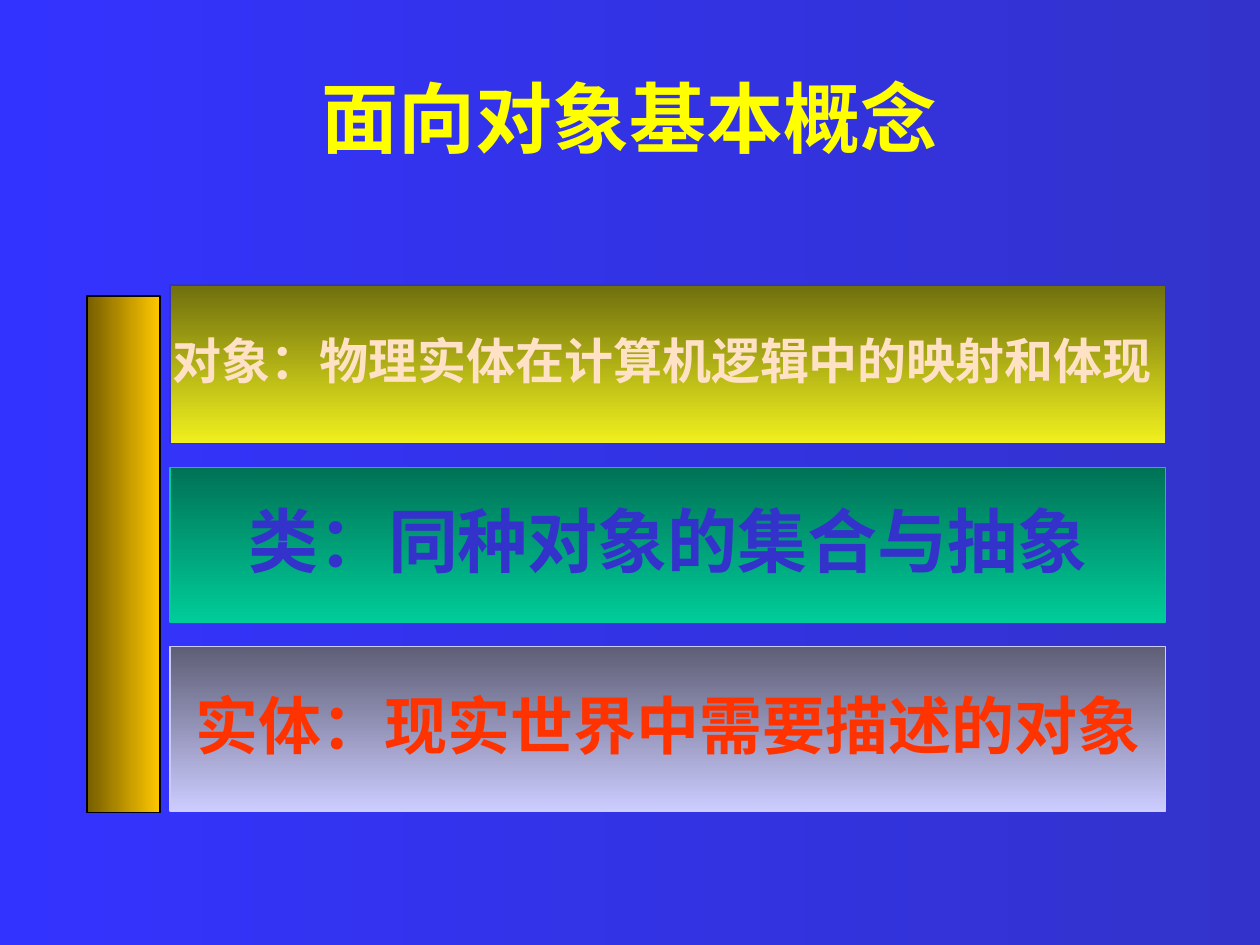
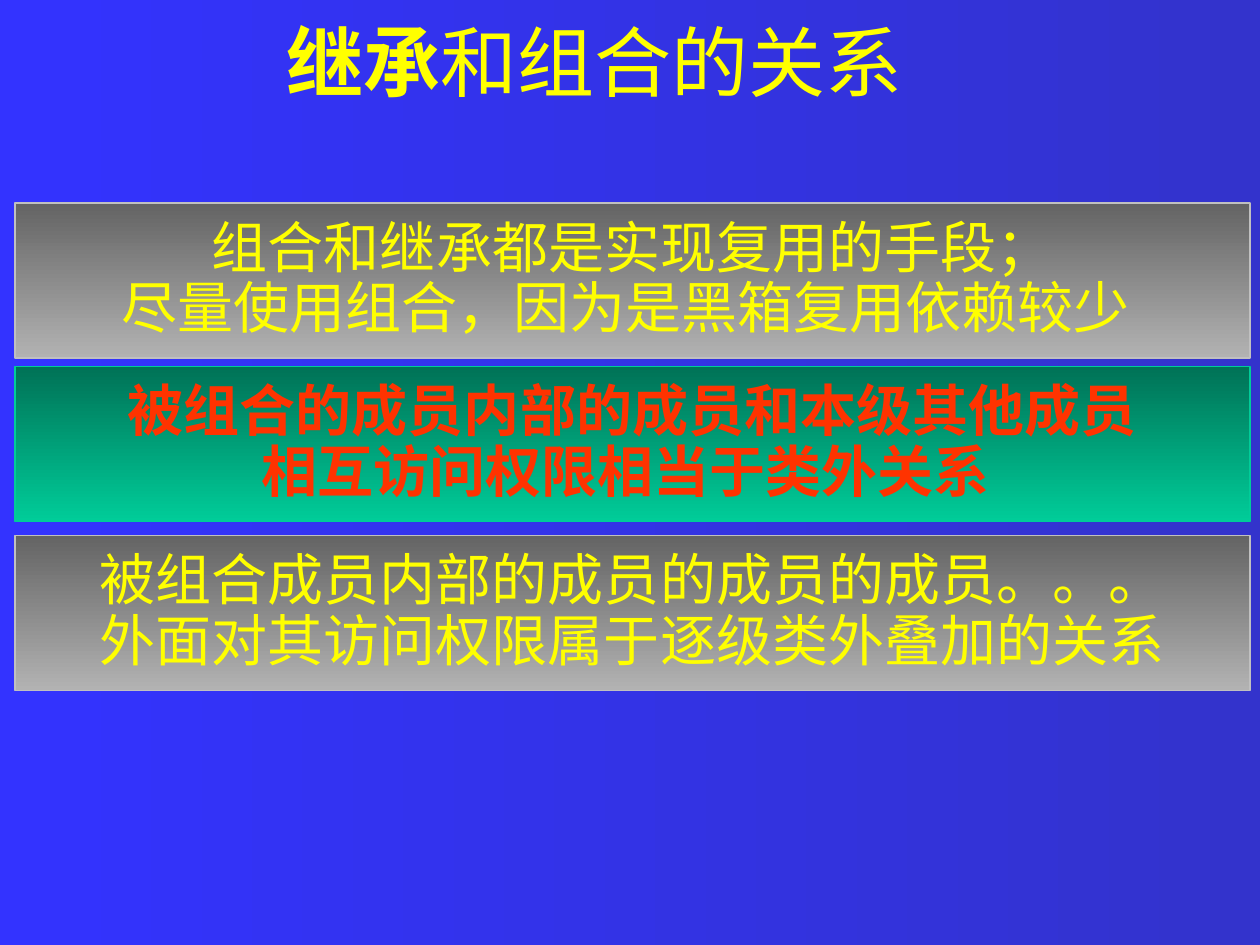
from lxml import etree
from pptx import Presentation
from pptx import util as u
from pptx.dml.color import RGBColor
from pptx.enum import shapes, text
from pptx.oxml import ns

# Shared look
PX = 9144  # 100 px to the inch
CJK = "Noto Sans CJK SC"
ROMAN = "Times New Roman"
YELLOW, RED, BLUE, PEACH = "FFFF00", "FF3300", "3333CC", "FFE2C5"
BACKGROUND = ("3333FF", BLUE)
TITLE_SIZE = 44
ACROSS, DOWN = 0, 270  # gradient directions, counter-clockwise

# Band styles: gradient from top to bottom, outline
GOLD = (("6F6F0E", "F0F01E"), BLUE)
GREEN = (("007256", "00CC99"), "00CC99")
LILAC = (("5E5E76", "CCCCFF"), "CCCCFF")
GREY = (("646464", "B2B2B2"), "C0C0C0")

# Content: title as (text, bold) spans; bands as
# (top, height, style, lines, font format)
PLAIN = dict(size=32, name=ROMAN, color=YELLOW, bold=False)
SLIDES = [
    dict(
        title=[("面向对象基本概念", True)],
        title_font=CJK,
        title_box=(0, 30, 1000, 125),
        pillar=(69, 235, 58, 410),
        band_x=(135, 790),
        bands=[
            (226, 126, GOLD, ["对象：物理实体在计算机逻辑中的映射和体现 "],
             dict(size=28, name="Arial", color=PEACH, bold=True)),
            (371, 123, GREEN, ["类：同种对象的集合与抽象"],
             dict(size=40, name=CJK, color=BLUE, bold=True)),
            (513, 131, LILAC, ["实体：现实世界中需要描述的对象"],
             dict(size=36, name=CJK, color=RED, bold=True)),
        ],
    ),
    dict(
        title=[("继承", True), ("和组合的关系", False)],
        title_font=ROMAN,
        title_box=(-28, 13, 1000, 71),
        pillar=None,
        band_x=(12, 980),
        bands=[
            (161, 123, GREY, ["组合和继承都是实现复用的手段；",
                              "尽量使用组合，因为是黑箱复用依赖较少 "], PLAIN),
            (291, 123, GREEN, ["被组合的成员内部的成员和本级其他成员",
                               "相互访问权限相当于类外关系 "],
             {**PLAIN, "color": RED, "bold": True}),
            (425, 123, GREY, ["被组合成员内部的成员的成员的成员。。。",
                              "外面对其访问权限属于逐级类外叠加的关系"], PLAIN),
        ],
    ),
]


def rgb(value):
    return RGBColor.from_string(value)


def set_attributes(target, **values):
    for name, value in values.items():
        setattr(target, name, value)


def fill_gradient(fill, colours, angle):
    fill.gradient()
    fill.gradient_angle = angle
    for stop, position, colour in zip(fill.gradient_stops, (0, 1), colours):
        stop.color.rgb = rgb(colour)
        stop.position = position


def add_span(para, words, size, name, color, bold):
    span = para.add_run()
    span.text = words
    set_attributes(span.font, size=u.Pt(size), name=name, bold=bold)
    span.font.color.rgb = rgb(color)
    east_asian = etree.SubElement(span.font._element, ns.qn("a:ea"))
    east_asian.set("typeface", CJK)


def prepare_frame(box, wrap):
    set_attributes(
        box.text_frame, word_wrap=wrap, auto_size=text.MSO_AUTO_SIZE.NONE,
        vertical_anchor=text.MSO_ANCHOR.MIDDLE,
        margin_left=10 * PX, margin_right=10 * PX,
        margin_top=5 * PX, margin_bottom=5 * PX)
    return box.text_frame


def add_title(page, spans, font, place):
    box = page.shapes.title
    for side, length in zip(("left", "top", "width", "height"), place):
        setattr(box, side, length * PX)
    para = prepare_frame(box, True).paragraphs[0]
    para.alignment = text.PP_ALIGN.CENTER
    for words, bold in spans:
        add_span(para, words, TITLE_SIZE, font, YELLOW, bold)


def add_block(page, place, colours, angle, outline, width):
    box = page.shapes.add_shape(
        shapes.MSO_SHAPE.RECTANGLE, *(length * PX for length in place))
    box.shadow.inherit = False
    fill_gradient(box.fill, colours, angle)
    box.line.color.rgb = rgb(outline)
    box.line.width = u.Pt(width)
    return box


def add_band(page, place, style, lines, font):
    colours, outline = style
    frame = prepare_frame(
        add_block(page, place, colours, DOWN, outline, 1), False)
    for index, words in enumerate(lines):
        para = frame.add_paragraph() if index else frame.paragraphs[0]
        set_attributes(para, alignment=text.PP_ALIGN.CENTER, line_spacing=0.9)
        add_span(para, words, **font)


def main():
    deck = Presentation()
    set_attributes(deck, slide_width=1000 * PX, slide_height=750 * PX)
    fill_gradient(deck.slide_master.background.fill, BACKGROUND, ACROSS)
    title_only = deck.slide_layouts[5]

    for content in SLIDES:
        page = deck.slides.add_slide(title_only)
        add_title(page, content["title"], content["title_font"],
                  content["title_box"])
        if content["pillar"]:
            add_block(page, content["pillar"], ("765D00", "FFC800"),
                      ACROSS, "000000", 0.75)
        left, width = content["band_x"]
        for top, height, style, lines, font in content["bands"]:
            add_band(page, (left, top, width, height), style, lines, font)

    deck.save("out.pptx")


if __name__ == "__main__":
    main()
